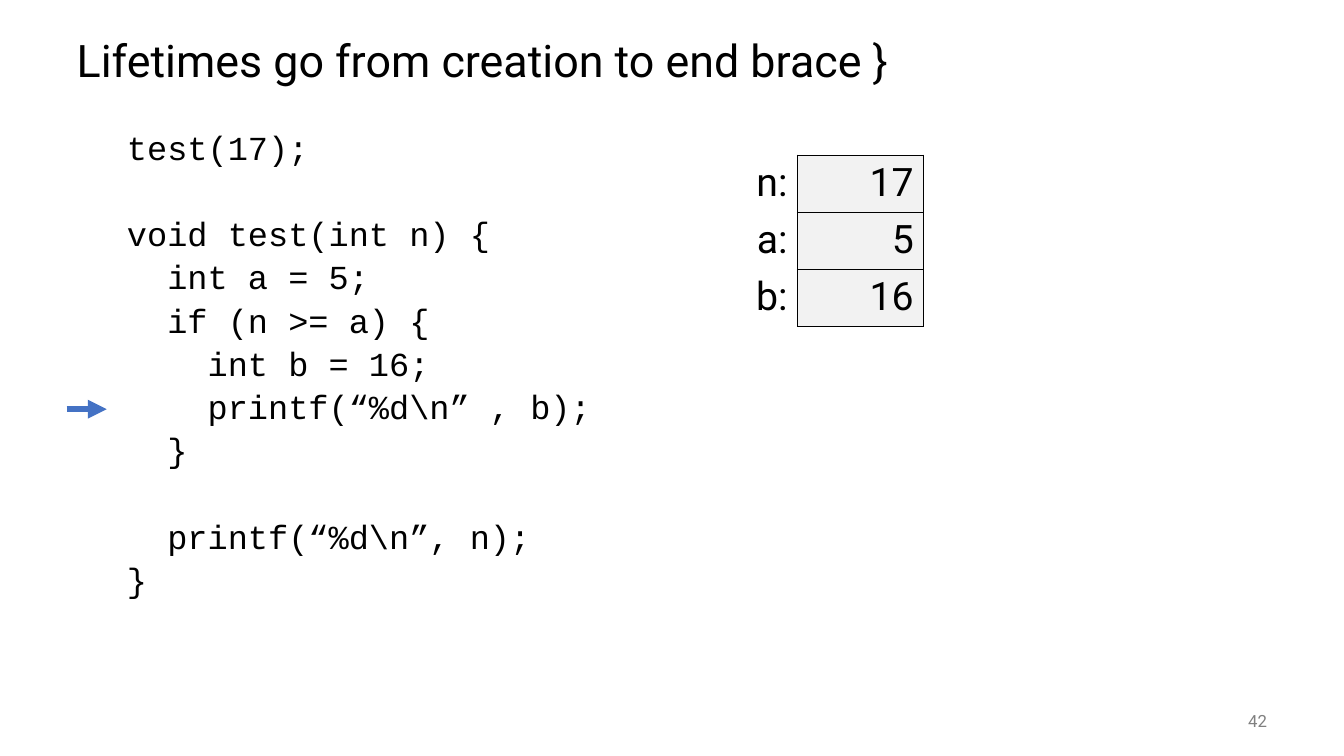
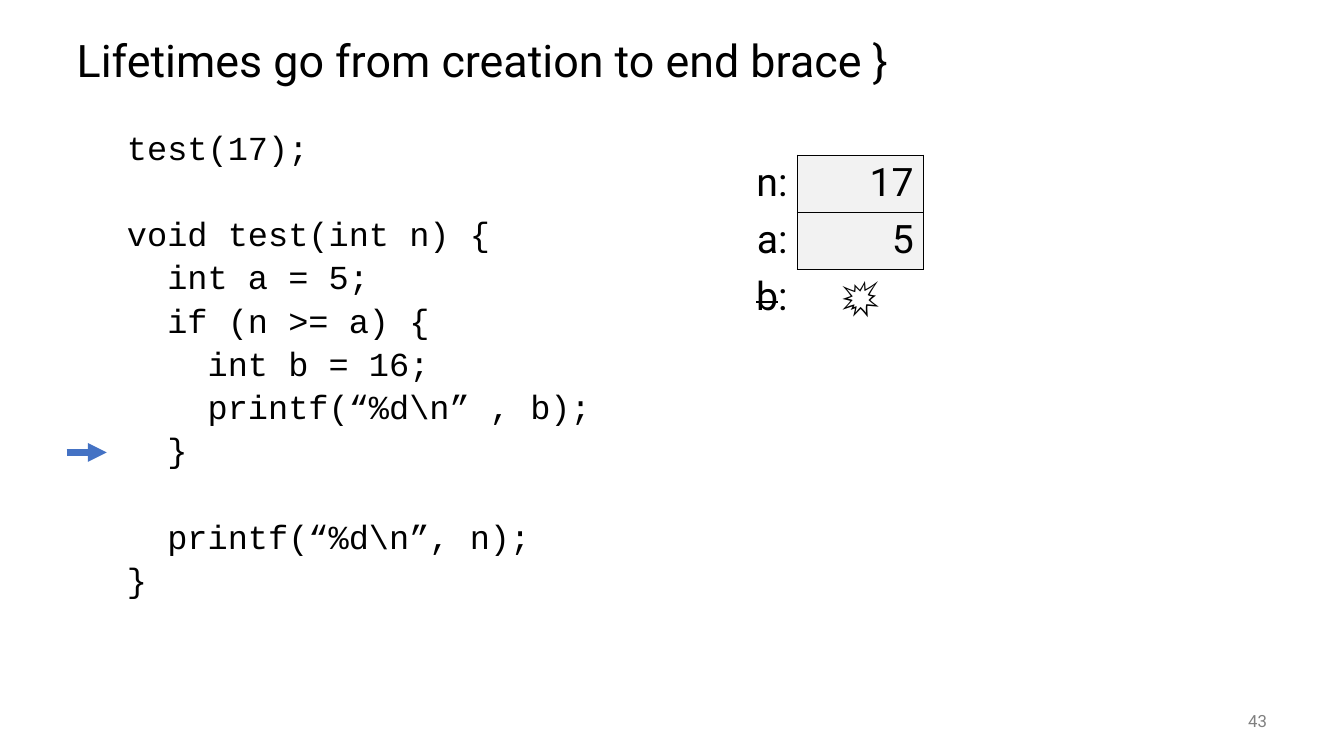
"""Build two slides that trace variable lifetimes through a C function."""

from dataclasses import dataclass

import lxml.etree
import pptx
import pptx.dml.color
import pptx.enum.shapes
import pptx.enum.text
import pptx.oxml.ns
import pptx.oxml.xmlchemy
import pptx.presentation
import pptx.slide
import pptx.table
import pptx.text.text
import pptx.util

Cm = pptx.util.Cm
Pt = pptx.util.Pt
RGBColor = pptx.dml.color.RGBColor
Align = pptx.enum.text.PP_ALIGN
Anchor = pptx.enum.text.MSO_ANCHOR
qn = pptx.oxml.ns.qn

BLACK = RGBColor(0x00, 0x00, 0x00)
GRAY = RGBColor(0x80, 0x80, 0x80)
CELL_GRAY = RGBColor(0xF2, 0xF2, 0xF2)
ARROW_BLUE = RGBColor(0x44, 0x72, 0xC4)

TEXT_FONT = "Roboto"
CODE_FONT = "Courier New"
PLAIN_TABLE_STYLE = "{2D5ABB26-0587-4C30-8999-92F81FD0307C}"

TITLE = "Lifetimes go from creation to end brace }"
CODE = """test(17);

void test(int n) {
  int a = 5;
  if (n >= a) {
    int b = 16;
    printf(“%d\\n” , b);
  }

  printf(“%d\\n”, n);
}"""

LEFT = Cm(1.68)
CONTENT_WIDTH = Cm(30.48)
CODE_INDENT = Cm(1.27)
FIRST_LINE_MIDDLE = Cm(3.77)
LINE_PITCH = Cm(1.09)
PARAGRAPH_GAP = Pt(5)
COLUMN_WIDTH = Cm(3.18)
ROW_HEIGHT = Cm(1.41)


@dataclass(frozen=True)
class Variable:
    """A variable's name and value, and whether it is still alive."""

    name: str
    value: str
    alive: bool = True


@dataclass(frozen=True)
class Step:
    """A moment in the run: slide number, current code line and variables."""

    number: int
    code_line: int
    variables: tuple[Variable, ...]


LIVE = (Variable("n", "17"), Variable("a", "5"))
STEPS = (
    Step(42, 6, LIVE + (Variable("b", "16"),)),
    Step(43, 7, LIVE + (Variable("b", "💥", alive=False),)),
)


def add_run(
    paragraph: pptx.text.text._Paragraph,
    text: str,
    size: float,
    color: RGBColor = BLACK,
    font: str = TEXT_FONT,
) -> pptx.text.text._Run:
    """Append a formatted run to a paragraph."""
    run = paragraph.add_run()
    run.text = text
    run.font.name = font
    run.font.size = Pt(size)
    run.font.color.rgb = color
    return run


def add_title(slide: pptx.slide.Slide) -> None:
    """Place and fill the title placeholder."""
    shape = slide.shapes.title
    shape.left, shape.top = LEFT, Cm(0.64)
    shape.width, shape.height = CONTENT_WIDTH, Cm(1.9)
    frame = shape.text_frame
    frame.word_wrap = True
    frame.auto_size = pptx.enum.text.MSO_AUTO_SIZE.NONE
    frame.vertical_anchor = Anchor.MIDDLE
    paragraph = frame.paragraphs[0]
    paragraph.alignment = Align.LEFT
    paragraph.line_spacing = 0.9
    add_run(paragraph, TITLE, 32)


def add_code(slide: pptx.slide.Slide) -> None:
    """Write the listing, turning each empty line into space before the next."""
    shape = slide.shapes.add_textbox(
        LEFT + CODE_INDENT, Cm(3.18), CONTENT_WIDTH - CODE_INDENT, Cm(13.97)
    )
    frame = shape.text_frame
    frame.word_wrap = True
    gap = 0
    for index, line in enumerate(CODE.splitlines()):
        if not line:
            gap += LINE_PITCH
            continue
        paragraph = frame.add_paragraph() if index else frame.paragraphs[0]
        paragraph.line_spacing = 0.9
        paragraph.space_before = pptx.util.Emu(gap)
        add_run(paragraph, line, 24, font=CODE_FONT)
        gap = PARAGRAPH_GAP


def add_slide_number(slide: pptx.slide.Slide, number: int) -> None:
    """Write the slide number at the lower right."""
    shape = slide.shapes.add_textbox(Cm(29.64), Cm(17.65), Cm(2.54), Cm(1.02))
    frame = shape.text_frame
    frame.word_wrap = True
    frame.vertical_anchor = Anchor.MIDDLE
    paragraph = frame.paragraphs[0]
    paragraph.alignment = Align.RIGHT
    add_run(paragraph, str(number), 12, GRAY)


def set_borders(cell: pptx.table._Cell, sides: str) -> None:
    """Draw black borders on the given sides of a cell and clear the others."""
    properties = cell._tc.get_or_add_tcPr()
    for side in "LRTB":
        line = lxml.etree.SubElement(properties, qn(f"a:ln{side}"), w=str(Pt(1)))
        if side in sides:
            fill = lxml.etree.SubElement(line, qn("a:solidFill"))
            lxml.etree.SubElement(fill, qn("a:srgbClr"), val=str(BLACK))
        else:
            lxml.etree.SubElement(line, qn("a:noFill"))


def add_variables(slide: pptx.slide.Slide, variables: tuple[Variable, ...]) -> None:
    """Draw the variables as a table of names and values."""
    rows = len(variables)
    table = slide.shapes.add_table(
        rows, 2, Cm(16.92), Cm(3.91), 2 * COLUMN_WIDTH, rows * ROW_HEIGHT
    ).table
    table.first_row = table.horz_banding = False
    table._tbl.tblPr.find(qn("a:tableStyleId")).text = PLAIN_TABLE_STYLE
    for row, variable in enumerate(variables):
        name_cell, value_cell = table.cell(row, 0), table.cell(row, 1)
        set_borders(name_cell, "R" if variable.alive else "")
        name_cell.fill.background()
        paragraph = name_cell.text_frame.paragraphs[0]
        paragraph.alignment = Align.RIGHT
        name_run = add_run(paragraph, variable.name, 28)
        add_run(paragraph, ":", 28)

        set_borders(value_cell, "LRTB" if variable.alive else "T")
        paragraph = value_cell.text_frame.paragraphs[0]
        add_run(paragraph, variable.value, 28)
        if variable.alive:
            value_cell.fill.solid()
            value_cell.fill.fore_color.rgb = CELL_GRAY
            paragraph.alignment = Align.RIGHT
        else:
            value_cell.fill.background()
            paragraph.alignment = Align.CENTER
            name_run._r.get_or_add_rPr().set("strike", "sngStrike")


def add_line_arrow(slide: pptx.slide.Slide, code_line: int) -> None:
    """Point an arrow at the current line of code."""
    middle = FIRST_LINE_MIDDLE + code_line * LINE_PITCH
    arrow = slide.shapes.add_connector(
        pptx.enum.shapes.MSO_CONNECTOR.STRAIGHT, LEFT, middle, Cm(2.69), middle
    )
    arrow.line.color.rgb = ARROW_BLUE
    arrow.line.width = Pt(4.5)
    lxml.etree.SubElement(
        arrow.line._get_or_add_ln(), qn("a:tailEnd"), type="triangle"
    )
    lxml.etree.SubElement(arrow._element.spPr, qn("a:effectLst"))


def add_step(presentation: pptx.presentation.Presentation, step: Step) -> None:
    """Add the slide for one step."""
    slide = presentation.slides.add_slide(presentation.slide_layouts[5])
    add_title(slide)
    add_code(slide)
    add_slide_number(slide, step.number)
    add_variables(slide, step.variables)
    add_line_arrow(slide, step.code_line)


def main() -> None:
    """Build and save the presentation."""
    presentation = pptx.Presentation()
    presentation.slide_width = Cm(33.87)
    presentation.slide_height = Cm(19.05)
    for step in STEPS:
        add_step(presentation, step)
    presentation.save("out.pptx")


if __name__ == "__main__":
    main()
